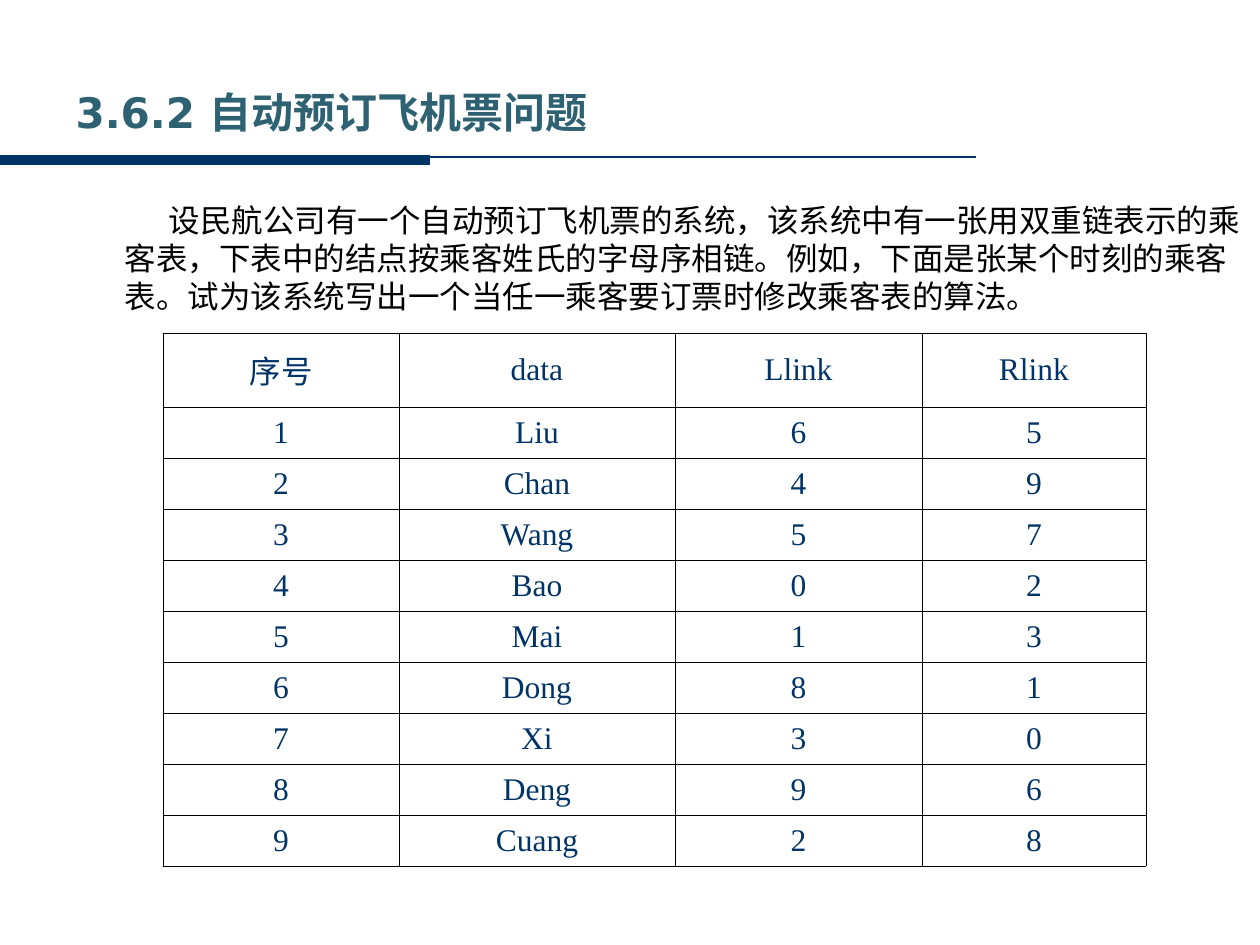
from lxml.etree import SubElement
from pptx import Presentation
from pptx.dml.color import RGBColor
from pptx.enum.shapes import MSO_CONNECTOR
from pptx.enum.text import MSO_ANCHOR, MSO_AUTO_SIZE, PP_ALIGN
from pptx.oxml.ns import qn
from pptx.util import Emu, Pt

PX_PER_INCH = 126
NAVY = RGBColor(0x00, 0x33, 0x66)
TEAL = RGBColor(0x2E, 0x62, 0x72)
BLACK = RGBColor(0, 0, 0)
HEADING_FONT = "DejaVu Sans"
BODY_FONT = "Times New Roman"

TITLE = "3.6.2 自动预订飞机票问题"
PROBLEM = (
    "设民航公司有一个自动预订飞机票的系统，该系统中有一张用双重链表示的乘客表，"
    "下表中的结点按乘客姓氏的字母序相链。例如，下面是张某个时刻的乘客表。"
    "试为该系统写出一个当任一乘客要订票时修改乘客表的算法。"
)
HEADER = ("序号", "data", "Llink", "Rlink")
PASSENGERS = [
    ("Liu", 6, 5), ("Chan", 4, 9), ("Wang", 5, 7),
    ("Bao", 0, 2), ("Mai", 1, 3), ("Dong", 8, 1),
    ("Xi", 3, 0), ("Deng", 9, 6), ("Cuang", 2, 8),
]
COLUMN_WIDTHS = (236, 276, 247, 224)
HEADER_HEIGHT, ROW_HEIGHT = 74, 51


def px(n):
    return Emu(round(n * 914400 / PX_PER_INCH))


def write(tf, text, size=18, font=BODY_FONT, color=NAVY, bold=False,
          align=PP_ALIGN.LEFT):
    p = tf.paragraphs[0]
    p.alignment = align
    p.space_before = Pt(0)
    r = p.add_run()
    r.text = text
    r.font.size = Pt(size)
    r.font.name = font
    r.font.bold = bold
    r.font.color.rgb = color
    return p


def place(sp, x, y, w, h, anchor):
    """Move a placeholder and return its text frame."""
    sp.left, sp.top, sp.width, sp.height = map(px, (x, y, w, h))
    tf = sp.text_frame
    tf.word_wrap = True
    tf.auto_size = MSO_AUTO_SIZE.NONE
    tf.vertical_anchor = anchor
    return tf


def add_rule(slide, y, length, weight):
    """Draw a horizontal line from the left edge of the slide."""
    line = slide.shapes.add_connector(
        MSO_CONNECTOR.STRAIGHT, 0, px(y), px(length), px(y))
    line.line.color.rgb = NAVY
    line.line.width = Pt(weight)
    SubElement(line._element.spPr, qn("a:effectLst"))


def add_borders(cell, color=BLACK, weight=0.45):
    tcPr = cell._tc.get_or_add_tcPr()
    for side in ("lnL", "lnR", "lnT", "lnB"):
        ln = SubElement(tcPr, qn(f"a:{side}"), w=str(Pt(weight)))
        fill = SubElement(ln, qn("a:solidFill"))
        SubElement(fill, qn("a:srgbClr"), val=str(color))


def add_passenger_table(slide, x, y):
    rows = [HEADER] + [(i, *row) for i, row in enumerate(PASSENGERS, 1)]
    height = HEADER_HEIGHT + ROW_HEIGHT * len(PASSENGERS)
    table = slide.shapes.add_table(
        len(rows), len(HEADER), px(x), px(y),
        px(sum(COLUMN_WIDTHS)), px(height)).table
    table.first_row = table.horz_banding = False
    for column, width in zip(table.columns, COLUMN_WIDTHS):
        column.width = px(width)
    for i, values in enumerate(rows):
        table.rows[i].height = px(ROW_HEIGHT if i else HEADER_HEIGHT)
        for j, value in enumerate(values):
            cell = table.cell(i, j)
            cell.vertical_anchor = MSO_ANCHOR.MIDDLE
            add_borders(cell)
            cell.fill.background()
            write(cell.text_frame, str(value), align=PP_ALIGN.CENTER)


def main():
    prs = Presentation()
    prs.slide_width, prs.slide_height = px(1260), px(945)
    slide = prs.slides.add_slide(prs.slide_layouts[1])

    add_rule(slide, 157, 976, 1.5)
    add_rule(slide, 160, 430, 6)

    title = place(slide.shapes.title, 63, 73, 1061, 78, MSO_ANCHOR.MIDDLE)
    write(title, TITLE, size=24, font=HEADING_FONT, color=TEAL, bold=True)

    body = place(slide.placeholders[1], 64, 195, 1196, 139, MSO_ANCHOR.TOP)
    p = write(body, PROBLEM, color=BLACK)
    pPr = p._p.get_or_add_pPr()
    pPr.set("marL", str(px(48)))
    pPr.set("indent", str(px(44)))
    SubElement(pPr, qn("a:buNone"))

    add_passenger_table(slide, 163, 333)
    prs.save("out.pptx")


if __name__ == "__main__":
    main()
